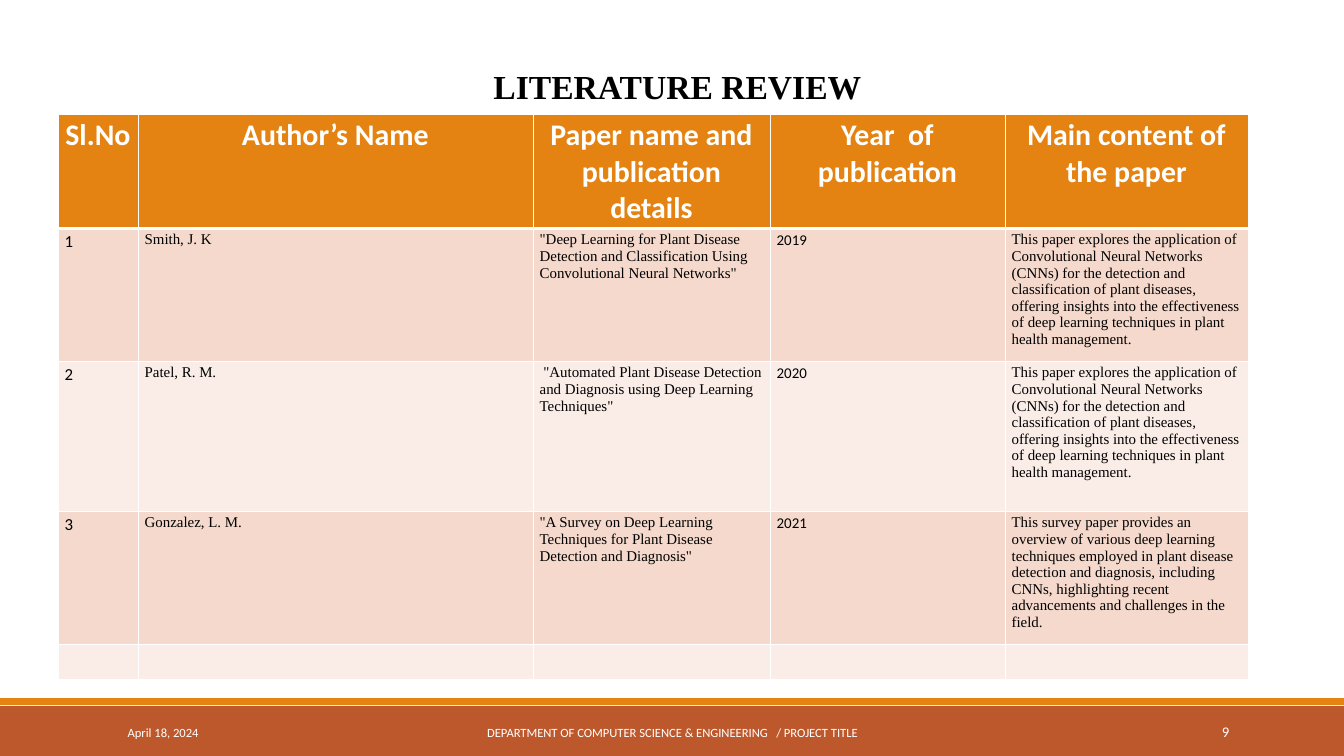
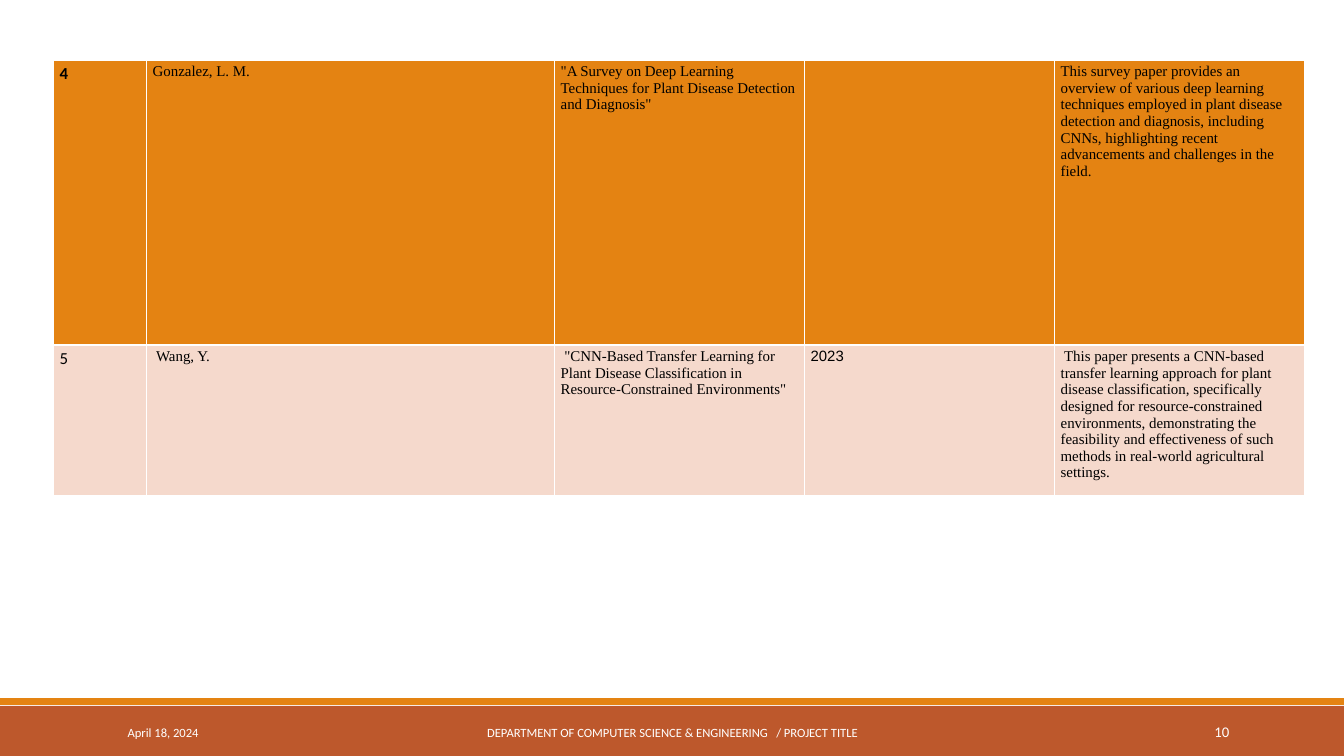
from lxml.etree import SubElement as Sub
from pptx import Presentation
from pptx.dml.color import RGBColor
from pptx.enum.shapes import MSO_SHAPE as Shape
from pptx.enum.text import MSO_ANCHOR as Anchor, PP_ALIGN as Align
from pptx.oxml.ns import qn
from pptx.util import Emu, Pt

SCALE = 914400 / 67.2
WIDE, HIGH = 1344, 756

WHITE, BLACK = "FFFFFF", "000000"
ORANGE, RUST = "E48312", "BD582C"
PEACH, PALE = "F5D9CC", "FAEDE7"

SERIF, SANS = "Times New Roman", "Calibri"
TITLE = dict(name=SERIF, size=Pt(36), bold=True)
FOOT = dict(name=SANS, size=Pt(13.5))
PAGE = dict(name=SANS, size=Pt(15.8))
HEAD = dict(name=SANS, size=Pt(32), bold=True)
NUMBER = dict(name=SANS, size=Pt(18), bold=False)
STRONG = dict(name=SANS, size=Pt(18), bold=True)
BODY = dict(name=SERIF, size=Pt(16), bold=False)
YEAR = dict(name=SANS, size=Pt(16), bold=False)
ARIAL = dict(name="Arial", size=Pt(16), bold=False)

LOOKS = [NUMBER, BODY, BODY, YEAR, BODY]
THIN, THICK = 1, 3

EXPLORES = (
    "This paper explores the application of Convolutional Neural Networks (CNNs) "
    "for the detection and classification of plant diseases, offering insights into "
    "the effectiveness of deep learning techniques in plant health management."
)
SURVEY = '"A Survey on Deep Learning Techniques for Plant Disease Detection and Diagnosis"'
OVERVIEW = (
    "This survey paper provides an overview of various deep learning techniques "
    "employed in plant disease detection and diagnosis, including CNNs, highlighting "
    "recent advancements and challenges in the field."
)
TRANSFER = (
    " This paper presents a CNN-based transfer learning approach for plant disease "
    "classification, specifically designed for resource-constrained environments, "
    "demonstrating the feasibility and effectiveness of such methods in real-world "
    "agricultural settings."
)

HEADS = ["Sl.No", "Author’s Name", "Paper name and publication details",
         "Year  of publication", "Main content of the paper"]
FIRST = [
    ["1", "Smith, J. K",
     '"Deep Learning for Plant Disease Detection and Classification Using '
     'Convolutional Neural Networks"', "2019", EXPLORES],
    ["2", "Patel, R. M.",
     ' "Automated Plant Disease Detection and Diagnosis using Deep Learning '
     'Techniques"', "2020", EXPLORES],
    ["3", "Gonzalez, L. M.", SURVEY, "2021", OVERVIEW],
    [""] * 5,
]
FOURTH = ["4", "Gonzalez, L. M.", SURVEY, "", OVERVIEW]
FIFTH = ["5", " Wang, Y.",
         ' "CNN-Based Transfer Learning for Plant Disease Classification in '
         'Resource-Constrained Environments"', "2023", TRANSFER]


def px(num):
    return Emu(round(num * SCALE))


def box(*sides):
    return [px(side) for side in sides]


def rgb(color):
    return RGBColor.from_string(color)


def write(para, text, look, color, align=Align.LEFT):
    para.alignment = align
    run = para.add_run()
    run.text = text
    for key, value in look.items():
        setattr(run.font, key, value)
    run.font.color.rgb = rgb(color)


def label(slide, area, text, look, color, align, anchor=Anchor.MIDDLE):
    frame = slide.shapes.add_textbox(*box(*area)).text_frame
    frame.word_wrap = True
    frame.vertical_anchor = anchor
    para = frame.paragraphs[0]
    write(para, text, look, color, align)
    return para


def band(slide, area, color):
    shape = slide.shapes.add_shape(Shape.RECTANGLE, *box(*area))
    shape.shadow.inherit = False
    shape.fill.solid()
    shape.fill.fore_color.rgb = rgb(color)
    shape.line.fill.background()


def title(slide, text):
    para = label(slide, (41, 42, 1239, 60), text, TITLE, BLACK, Align.CENTER, Anchor.TOP)
    para.line_spacing = 1.5
    props = para._p.get_or_add_pPr()
    props.set("marL", str(px(34)))
    props.set("indent", "0")


def footer(slide, page):
    band(slide, (0, 706, WIDE, 50), RUST)
    band(slide, (0, 698, WIDE, 7), ORANGE)
    label(slide, (121, 712, 273, 40), "April 18, 2024", FOOT, WHITE, Align.LEFT)
    label(slide, (407, 712, 531, 40),
          "DEPARTMENT OF COMPUTER SCIENCE & ENGINEERING   / PROJECT TITLE",
          FOOT, WHITE, Align.CENTER)
    label(slide, (1091, 712, 145, 40), str(page), PAGE, WHITE, Align.RIGHT)


def border(cell, top, bottom):
    props = cell._tc.get_or_add_tcPr()
    for side, width in zip("LRTB", (THIN, THIN, top, bottom)):
        line = Sub(props, qn(f"a:ln{side}"), w=str(Pt(width)))
        Sub(Sub(line, qn("a:solidFill")), qn("a:srgbClr"), val=WHITE)


def grid(slide, left, top, cols, rows):
    """Each row is (height, fill, looks, text colour, alignment, texts)."""
    area = box(left, top, sum(cols), sum(row[0] for row in rows))
    table = slide.shapes.add_table(len(rows), len(cols), *area).table
    table.horz_banding = False
    for col, width in zip(table.columns, cols):
        col.width = px(width)
    for i, (height, fill, looks, color, align, texts) in enumerate(rows):
        table.rows[i].height = px(height)
        for j, (look, text) in enumerate(zip(looks, texts)):
            cell = table.cell(i, j)
            border(cell, THICK if i == 1 else THIN, THICK if i == 0 else THIN)
            cell.fill.solid()
            cell.fill.fore_color.rgb = rgb(fill)
            if text:
                write(cell.text_frame.paragraphs[0], text, look, color, align)


def main():
    deck = Presentation()
    deck.slide_width, deck.slide_height = box(WIDE, HIGH)
    review, more = [deck.slides.add_slide(deck.slide_layouts[6]) for _ in range(2)]
    for page, slide in enumerate((review, more), 9):
        footer(slide, page)

    title(review, "LITERATURE REVIEW")
    rows = [(108, ORANGE, [HEAD] * 5, WHITE, Align.CENTER, HEADS)]
    for i, (height, texts) in enumerate(zip((133, 150, 133, 35), FIRST)):
        rows.append((height, (PEACH, PALE)[i % 2], LOOKS, BLACK, Align.LEFT, texts))
    grid(review, 58, 114, (80, 395, 237, 235, 243), rows)

    grid(more, 53, 60, (93, 408, 250, 250, 250), [
        (285, ORANGE, [STRONG, *LOOKS[1:]], BLACK, Align.LEFT, FOURTH),
        (150, PEACH, [*LOOKS[:3], ARIAL, BODY], BLACK, Align.LEFT, FIFTH),
    ])
    deck.save("out.pptx")


if __name__ == "__main__":
    main()
